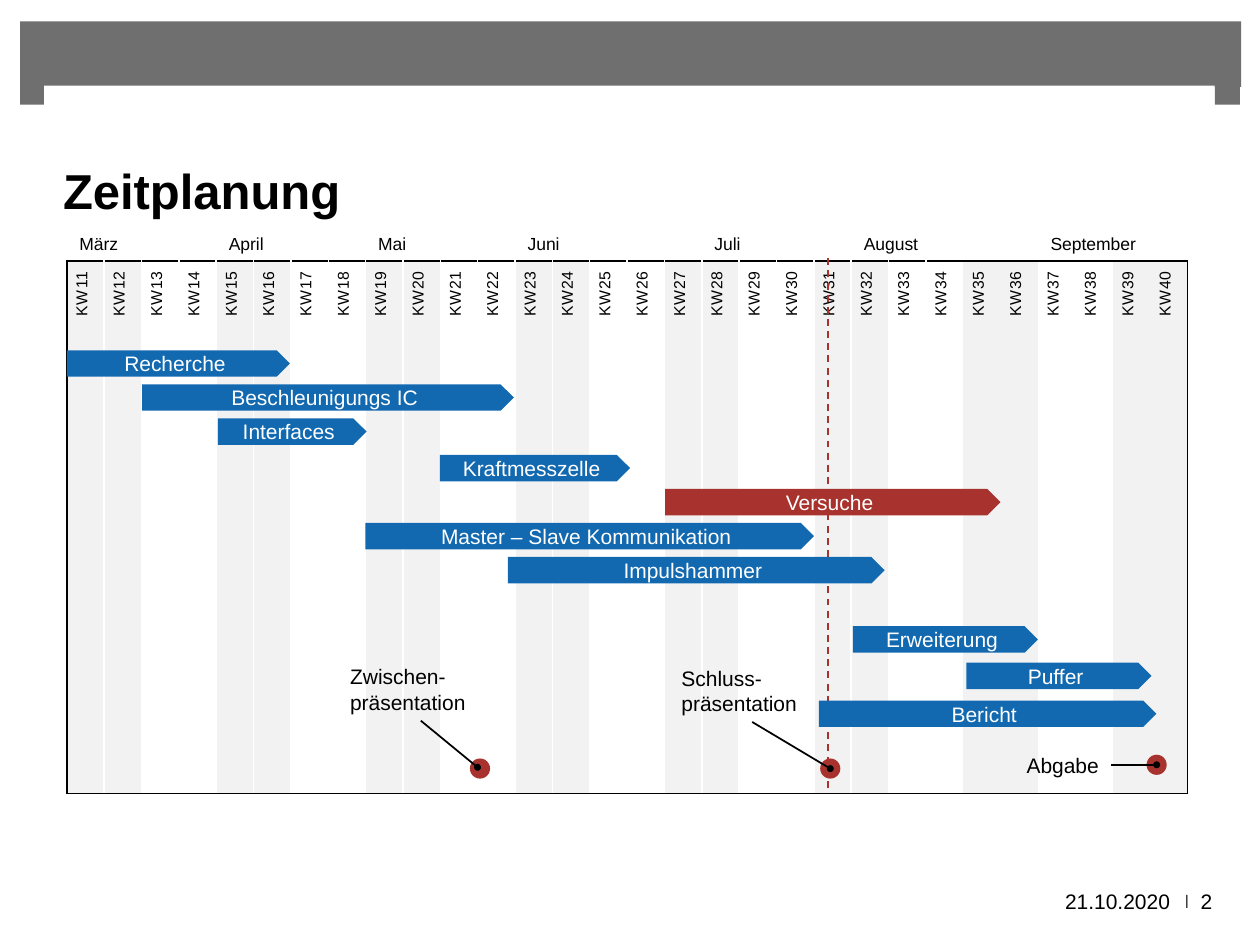
from pptx import Presentation
from pptx.dml.color import RGBColor
from pptx.enum.dml import MSO_LINE
from pptx.enum.shapes import MSO_CONNECTOR, MSO_SHAPE as SHAPE
from pptx.enum.text import MSO_ANCHOR as ANCHOR, PP_ALIGN as ALIGN
from pptx.oxml import parse_xml
from pptx.oxml.ns import nsdecls
from pptx.util import Inches, Pt

BLACK, WHITE, LIGHT, GREY = "000000", "FFFFFF", "F2F2F2", "6F6F6F"
BLUE, RED = "1269B0", "A8322D"
LEFT, TOP, WIDTH = 0.53, 1.8, 8.9
WEEKS = 30
WEEK = WIDTH / WEEKS


def rgb(value):
    return RGBColor.from_string(value)


def write(frame, text, size, color=BLACK, align=ALIGN.LEFT, anchor=ANCHOR.TOP,
          bold=False, wrap=True, insets=(0.1, 0.05, 0.1, 0.05)):
    frame.text = text
    formats = {"word_wrap": wrap, "vertical_anchor": anchor}
    for side, inset in zip(("left", "top", "right", "bottom"), insets):
        formats["margin_" + side] = Inches(inset)
    for name, value in formats.items():
        setattr(frame, name, value)
    para = frame.paragraphs[0]
    para.alignment = align
    for span in para.runs:
        for name, value in {"size": Pt(size), "name": "Arial", "bold": bold}.items():
            setattr(span.font, name, value)
        span.font.color.rgb = rgb(color)


deck = Presentation()
deck.slide_width, deck.slide_height = Inches(10), Inches(7.5)
page = deck.slides.add_slide(deck.slide_layouts[6])
shapes = page.shapes

# Header band with its two corner tabs
for place in ((0.16, 0.17, 9.69, 0.52), (0.16, 0.65, 0.2, 0.18), (9.64, 0.65, 0.2, 0.18)):
    band = shapes.add_shape(SHAPE.RECTANGLE, *map(Inches, place))
    band.shadow.inherit = False
    band.fill.solid()
    band.fill.fore_color.rgb = rgb(GREY)
    band.line.fill.background()

# Title
title = shapes.add_textbox(*map(Inches, (0.35, 0.68, 9.29, 1.06)))
title.fill.solid()
title.fill.fore_color.rgb = rgb(WHITE)
write(title.text_frame, "Zeitplanung", 28, bold=True, anchor=ANCHOR.BOTTOM,
      insets=(0.15, 0, 0.16, 0))

# Calendar table: months, week numbers, empty plan area
frame = shapes.add_table(3, WEEKS, *map(Inches, (LEFT, TOP, WIDTH, 4.5)))
table = frame.table
table.first_row = table.horz_banding = False
# "No Style, No Grid"
table._tbl.tblPr.find("{*}tableStyleId").text = "{2D5ABB26-0587-4C30-8999-92F81FD0307C}"
for column in table.columns:
    column.width = Inches(WEEK)
for row, height in zip(table.rows, (0.27, 0.54, 3.69)):
    row.height = Inches(height)

for r in range(3):
    for c in range(WEEKS):
        cell = table.cell(r, c)
        props = cell._tc.get_or_add_tcPr()
        # None switches an edge off
        edges = ({"B": BLACK}, {"T": BLACK, "B": None}, {"T": None, "B": BLACK})[r]
        if r > 0:
            if c <= 22:
                edges["L"] = WHITE
            if c < 22:
                edges["R"] = WHITE
            if c == 0:
                edges["L"] = BLACK
            if c == WEEKS - 1:
                edges["R"] = BLACK
        for side in "LRTB":
            if side in edges:
                color = edges[side]
                paint = (f'<a:solidFill><a:srgbClr val="{color}"/></a:solidFill>'
                         if color else "<a:noFill/>")
                props.append(parse_xml(
                    f'<a:ln{side} {nsdecls("a")} w="12700">{paint}</a:ln{side}>'))
        cell.fill.solid()
        cell.fill.fore_color.rgb = rgb(LIGHT if r > 0 and c % 4 < 2 else WHITE)
        if r == 1:
            props.set("vert", "vert270")
            cell.vertical_anchor = ANCHOR.MIDDLE
            cell.margin_right = Inches(0.09)
            para = cell.text_frame.paragraphs[0]
            para._p.get_or_add_pPr().append(parse_xml(
                f'<a:tabLst {nsdecls("a")}><a:tab pos="{Inches(0.41)}" algn="r"/></a:tabLst>'))
            span = para.add_run()
            span.text = f"KW\t{11 + c}"
            span.font.size, span.font.name = Pt(9), "Arial"
            span.font.color.rgb = rgb(BLACK)

first = 0
for month, weeks in (("März", 4), ("April", 4), ("Mai", 4), ("Juni", 5),
                     ("Juli", 4), ("August", 5), ("September", 4)):
    cell = table.cell(0, first)
    cell.merge(table.cell(0, first + weeks - 1))
    cell.vertical_anchor = ANCHOR.BOTTOM
    span = cell.text_frame.paragraphs[0].add_run()
    span.text = month
    span.font.size, span.font.name = Pt(10), "Arial"
    span.font.color.rgb = rgb(BLACK)
    first += weeks

# Today marker
today = shapes.add_connector(MSO_CONNECTOR.STRAIGHT, *map(Inches, (6.57, 2.05, 6.57, 6.29)))
today.line.color.rgb = rgb(RED)
today.line.width = Pt(1)
today.line.dash_style = MSO_LINE.DASH
today._element.spPr.append(parse_xml(f'<a:effectLst {nsdecls("a")}/>'))

# Task bars: name, first week, number of weeks, top, colour
for name, start, weeks, top, color in (
        ("Recherche", 0, 5.97, 2.78, BLUE),
        ("Beschleunigungs IC", 2.02, 9.94, 3.05, BLUE),
        ("Interfaces", 4.04, 3.98, 3.32, BLUE),
        ("Kraftmesszelle", 9.98, 5.09, 3.61, BLUE),
        ("Versuche", 16.01, 8.97, 3.88, RED),
        ("Master – Slave Kommunikation", 7.99, 12, 4.15, BLUE),
        ("Impulshammer", 11.8, 10.08, 4.42, BLUE),
        ("Erweiterung", 21.03, 4.95, 4.97, BLUE),
        ("Puffer", 24.07, 4.95, 5.26, BLUE),
        ("Bericht", 20.12, 9.03, 5.56, BLUE)):
    bar = shapes.add_shape(SHAPE.PENTAGON, Inches(LEFT + start * WEEK), Inches(top),
                           Inches(weeks * WEEK), Inches(0.21))
    bar.shadow.inherit = False
    bar.fill.solid()
    bar.fill.fore_color.rgb = rgb(color)
    bar.line.fill.background()
    write(bar.text_frame, name, 12, WHITE, ALIGN.CENTER, ANCHOR.MIDDLE)

# Milestones: label, box, align, joined side, dot corner, end of the line
DOT = 0.16
for label, place, align, side, corner, end in (
        ("Zwischen-präsentation", (2.68, 5.22, 1.32, 0.5), ALIGN.LEFT, 2, (3.73, 6.02), (3.79, 6.09)),
        ("Schluss-\vpräsentation", (5.31, 5.23, 1.32, 0.5), ALIGN.LEFT, 2, (6.51, 6.02), (6.59, 6.1)),
        ("Abgabe", (7.5, 5.92, 1.32, 0.3), ALIGN.RIGHT, 3, (9.1, 5.99), (9.18, 6.07))):
    box = shapes.add_textbox(*map(Inches, place))
    write(box.text_frame, label, 12, align=align)
    dot = shapes.add_shape(SHAPE.OVAL, *map(Inches, (*corner, DOT, DOT)))
    dot.shadow.inherit = False
    dot.fill.solid()
    dot.fill.fore_color.rgb = rgb(RED)
    dot.line.fill.background()
    pointer = shapes.add_connector(MSO_CONNECTOR.STRAIGHT, 0, 0, *map(Inches, end))
    pointer.begin_connect(box, side)
    pointer.line.color.rgb = rgb(BLACK)
    pointer.line.width = Pt(1)
    pointer.line._get_or_add_ln().append(parse_xml(
        f'<a:tailEnd {nsdecls("a")} type="oval" w="sm" len="sm"/>'))
    pointer._element.spPr.append(parse_xml(f'<a:effectLst {nsdecls("a")}/>'))

# Footer
for text, x, y, width, size in (("21.10.2020", 8.42, 6.9, 0.9, 12),
                                ("|", 9.36, 6.89, 0.12, 8),
                                ("2", 9.43, 6.9, 0.29, 12)):
    box = shapes.add_textbox(*map(Inches, (x, y, width, 0.51)))
    write(box.text_frame, text, size, align=ALIGN.CENTER, anchor=ANCHOR.MIDDLE,
          wrap=False, insets=(0, 0, 0, 0))

deck.save("out.pptx")
